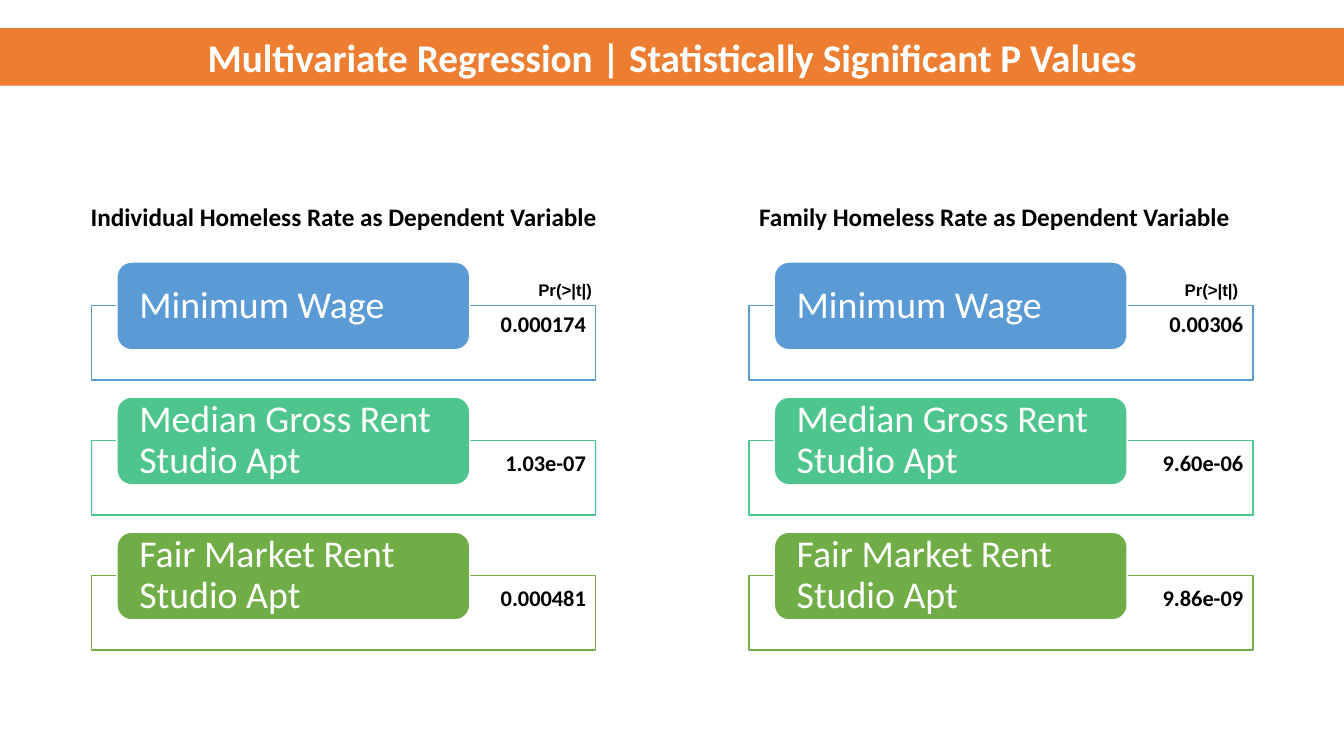
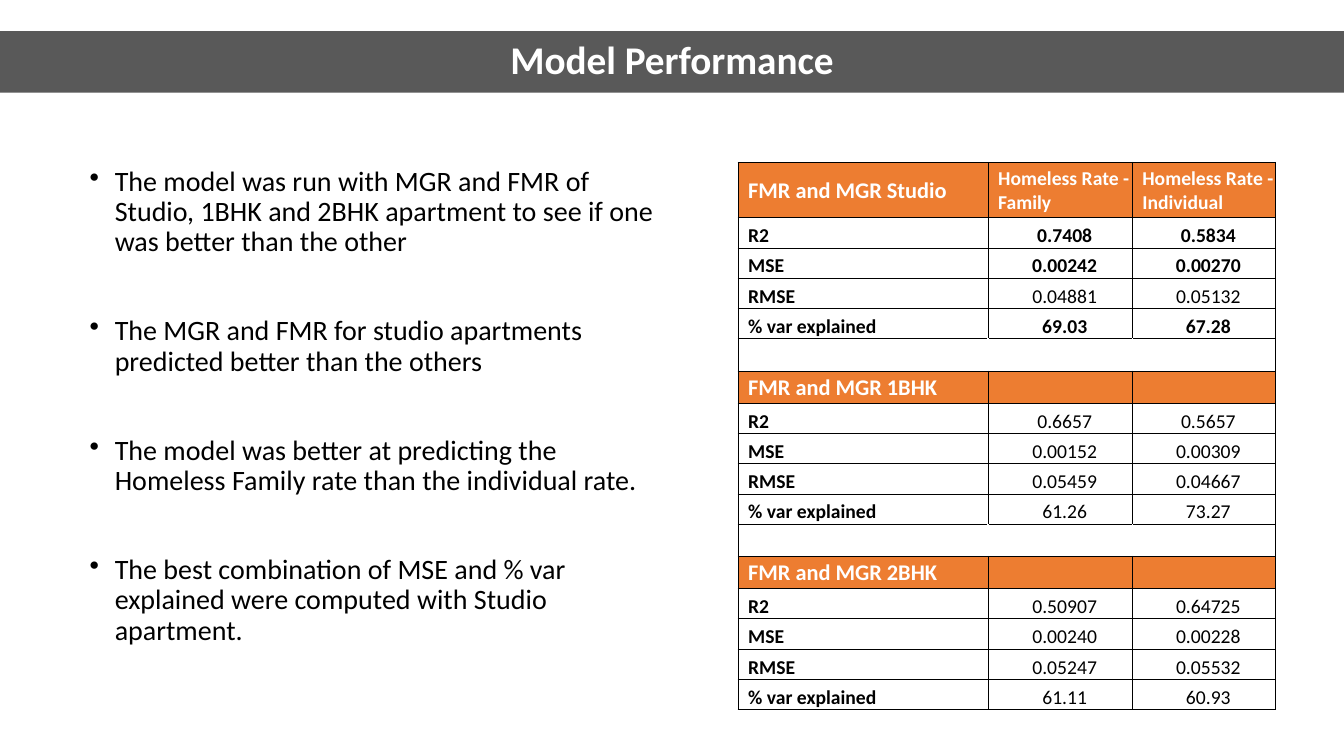
import pptx
import pptx.dml.color
import pptx.enum.shapes
import pptx.enum.text
import pptx.oxml
import pptx.oxml.ns
import pptx.util

Inches = pptx.util.Inches
Pt = pptx.util.Pt
ALIGN = pptx.enum.text.PP_ALIGN
ANCHOR = pptx.enum.text.MSO_ANCHOR
PRESET = pptx.enum.shapes.MSO_SHAPE

SLIDE_WIDTH, SLIDE_HEIGHT = 13.33, 7.5
BODY_FONT = "Calibri"
ORANGE, GREY, WHITE, BLACK = "ED7D31", "595959", "FFFFFF", "000000"

# Predictor, colour, drop of its p value below the frame top
PREDICTORS = [
    ("Minimum Wage", "5B9BD5", 0),
    ("Median Gross Rent\nStudio Apt", "4DC58D", 0.04),
    ("Fair Market Rent\nStudio Apt", "70AD47", 0.04),
]
P_VALUE_LABEL = "Pr(>|t|)"
REGRESSIONS = [
    {"heading": "Individual Homeless Rate as Dependent Variable",
     "heading_left": 0.8, "left": 0.91, "label_right": 5.97,
     "p_values": ["0.000174", "1.03e-07", "0.000481"]},
    {"heading": "Family Homeless Rate as Dependent Variable",
     "heading_left": 7.43, "left": 7.43, "label_right": 12.38,
     "p_values": ["0.00306", "9.60e-06", "9.86e-09"]},
]
FRAME_TOP, FRAME_WIDTH, FRAME_HEIGHT, FRAME_PITCH = 3.03, 5, 0.74, 1.34
PILL_INDENT, PILL_RISE, PILL_WIDTH, PILL_HEIGHT = 0.25, 0.43, 3.5, 0.87
P_VALUE_WIDTH, LABEL_WIDTH = 1.27, 0.98

FINDINGS = [
    "The model was run with MGR and FMR of Studio, 1BHK and 2BHK apartment "
    "to see if one was better than the other",
    "The MGR and FMR for studio apartments predicted better than the others",
    "The model was better at predicting the Homeless Family rate than the individual rate.",
    "The best combination of MSE and % var explained were computed with Studio apartment.",
]

METRICS = ["R2", "MSE", "RMSE", "% var explained"]
# Heading row, (family, individual) for each metric, metrics with bold values
MODELS = [
    (["FMR and MGR Studio", "Homeless Rate - Family", "Homeless Rate - Individual"],
     [("0.7408", "0.5834"), ("0.00242", "0.00270"),
      ("0.04881", "0.05132"), ("69.03", "67.28")],
     {"R2", "MSE", "% var explained"}),
    (["FMR and MGR 1BHK", "", ""],
     [("0.6657", "0.5657"), ("0.00152", "0.00309"),
      ("0.05459", "0.04667"), ("61.26", "73.27")],
     set()),
    (["FMR and MGR 2BHK", "", ""],
     [("0.50907", "0.64725"), ("0.00240", "0.00228"),
      ("0.05247", "0.05532"), ("61.11", "60.93")],
     set()),
]
COLUMN_WIDTHS = [2.48, 1.43, 1.42]
FIRST_HEADING_HEIGHT, HEADING_HEIGHT, METRIC_HEIGHT, GAP_HEIGHT = 0.55, 0.32, 0.3, 0.32


def rgb(color):
    return pptx.dml.color.RGBColor.from_string(color)


def place(left, top, width, height):
    return [Inches(length) for length in (left, top, width, height)]


def write(frame, *texts, size, color=BLACK, bold=False, font=BODY_FONT,
          align=ALIGN.LEFT, spacing=1.0, gap=0, bullet=None):
    """Put one paragraph per text in a text frame, gap points apart."""
    for number, text in enumerate(texts):
        paragraph = frame.add_paragraph() if number else frame.paragraphs[0]
        paragraph.text = text
        paragraph.alignment = align
        paragraph.line_spacing = spacing
        if number:
            paragraph.space_before = Pt(gap)
        if bullet:
            properties = paragraph._p.get_or_add_pPr()
            properties.set("marL", str(Inches(0.25)))
            properties.set("indent", str(Inches(-0.25)))
            mark = pptx.oxml.parse_xml(
                f'<a:buChar {pptx.oxml.ns.nsdecls("a")} char="{bullet}"/>')
            properties.append(mark)
        for run in paragraph.runs:
            run.font.name = font
            run.font.size = Pt(size)
            run.font.bold = bold
            run.font.color.rgb = rgb(color)


def add_text(slide, box, *texts, **style):
    frame = slide.shapes.add_textbox(*place(*box)).text_frame
    frame.word_wrap = True
    write(frame, *texts, **style)


def add_block(slide, box, fill, line=None, preset=PRESET.RECTANGLE):
    block = slide.shapes.add_shape(preset, *place(*box))
    block.shadow.inherit = False
    block.fill.solid()
    block.fill.fore_color.rgb = rgb(fill)
    if line:
        block.line.color.rgb = rgb(line)
        block.line.width = Pt(1)
    else:
        block.line.fill.background()
    block.text_frame.word_wrap = True
    block.text_frame.vertical_anchor = ANCHOR.MIDDLE
    return block


def add_titled_slide(deck, title, fill, top, height, spacing=1.0):
    slide = deck.slides.add_slide(deck.slide_layouts[6])
    band = add_block(slide, (0, top, SLIDE_WIDTH, height), fill)
    write(band.text_frame, title, size=28, color=WHITE, bold=True,
          align=ALIGN.CENTER, spacing=spacing)
    return slide


def add_predictor(slide, left, top, name, color):
    """Draw an outlined frame with the predictor's pill over its top edge."""
    add_block(slide, (left, top, FRAME_WIDTH, FRAME_HEIGHT), WHITE, color)
    pill = add_block(
        slide, (left + PILL_INDENT, top - PILL_RISE, PILL_WIDTH, PILL_HEIGHT),
        color, WHITE, PRESET.ROUNDED_RECTANGLE)
    frame = pill.text_frame
    frame.margin_left = frame.margin_right = Inches(0.18)
    frame.margin_top = frame.margin_bottom = 0
    write(frame, name, size=27, color=WHITE, spacing=0.9)


def add_regression(slide, regression):
    left = regression["left"]
    add_text(slide, (regression["heading_left"], 1.95, 5.31, 0.4),
             regression["heading"], size=18, bold=True)
    for row, (name, color, drop) in enumerate(PREDICTORS):
        top = FRAME_TOP + row * FRAME_PITCH
        add_predictor(slide, left, top, name, color)
        add_text(slide, (left + FRAME_WIDTH - P_VALUE_WIDTH, top + drop, P_VALUE_WIDTH, 0.37),
                 regression["p_values"][row], size=16, bold=True, align=ALIGN.RIGHT)
    add_text(slide, (regression["label_right"] - LABEL_WIDTH, 2.73, LABEL_WIDTH, 0.3),
             P_VALUE_LABEL, size=12, bold=True, font="Arial", align=ALIGN.RIGHT)


def format_cell(cell, sides="LRTB", fill=None, anchor=ANCHOR.BOTTOM):
    """Set insets, fill and a thin black border on the named sides."""
    cell.margin_left, cell.margin_right = Inches(0.1), Inches(0.01)
    cell.margin_top, cell.margin_bottom = Inches(0.01), 0
    cell.vertical_anchor = anchor
    for side in sides:
        cell._tc.get_or_add_tcPr().append(pptx.oxml.parse_xml(
            f'<a:ln{side} {pptx.oxml.ns.nsdecls("a")} w="{Pt(0.5)}">'
            f'<a:solidFill><a:srgbClr val="{BLACK}"/></a:solidFill></a:ln{side}>'))
    if fill:
        cell.fill.solid()
        cell.fill.fore_color.rgb = rgb(fill)
    else:
        cell.fill.background()


def add_model_table(slide, left, top):
    row_count = len(MODELS) * (len(METRICS) + 2) - 1
    table = slide.shapes.add_table(
        row_count, len(COLUMN_WIDTHS),
        *place(left, top, sum(COLUMN_WIDTHS), row_count * METRIC_HEIGHT)).table
    table.first_row = table.horz_banding = False
    for column, width in zip(table.columns, COLUMN_WIDTHS):
        column.width = Inches(width)

    rows = iter(table.rows)
    for number, (headings, results, bold_metrics) in enumerate(MODELS):
        if number:
            gap_row = next(rows)
            gap_row.height = Inches(GAP_HEIGHT)
            for cell, sides in zip(gap_row.cells, ("LTB", "TB", "RTB")):
                format_cell(cell, sides)

        heading_row = next(rows)
        heading_row.height = Inches(HEADING_HEIGHT if number else FIRST_HEADING_HEIGHT)
        for cell, heading, size in zip(heading_row.cells, headings, (16, 14, 14)):
            format_cell(cell, fill=ORANGE, anchor=ANCHOR.MIDDLE)
            if heading:
                write(cell.text_frame, heading, size=size, color=WHITE, bold=True)

        for metric, values in zip(METRICS, results):
            metric_row = next(rows)
            metric_row.height = Inches(METRIC_HEIGHT)
            for column, (cell, text) in enumerate(zip(metric_row.cells, (metric, *values))):
                format_cell(cell)
                write(cell.text_frame, text, size=14,
                      bold=column == 0 or metric in bold_metrics,
                      align=ALIGN.CENTER if column else ALIGN.LEFT)


def main():
    deck = pptx.Presentation()
    deck.slide_width, deck.slide_height = Inches(SLIDE_WIDTH), Inches(SLIDE_HEIGHT)

    p_values = add_titled_slide(
        deck, "Multivariate Regression | Statistically Significant P Values",
        ORANGE, 0.28, 0.57)
    for regression in REGRESSIONS:
        add_regression(p_values, regression)

    performance = add_titled_slide(deck, "Model Performance", GREY, 0.31, 0.61, spacing=0.9)
    add_text(performance, (0.79, 1.61, 5.87, 5.54), *FINDINGS,
             size=20, spacing=0.9, gap=42, bullet="•")
    add_model_table(performance, 7.32, 1.61)

    deck.save("out.pptx")


if __name__ == "__main__":
    main()
